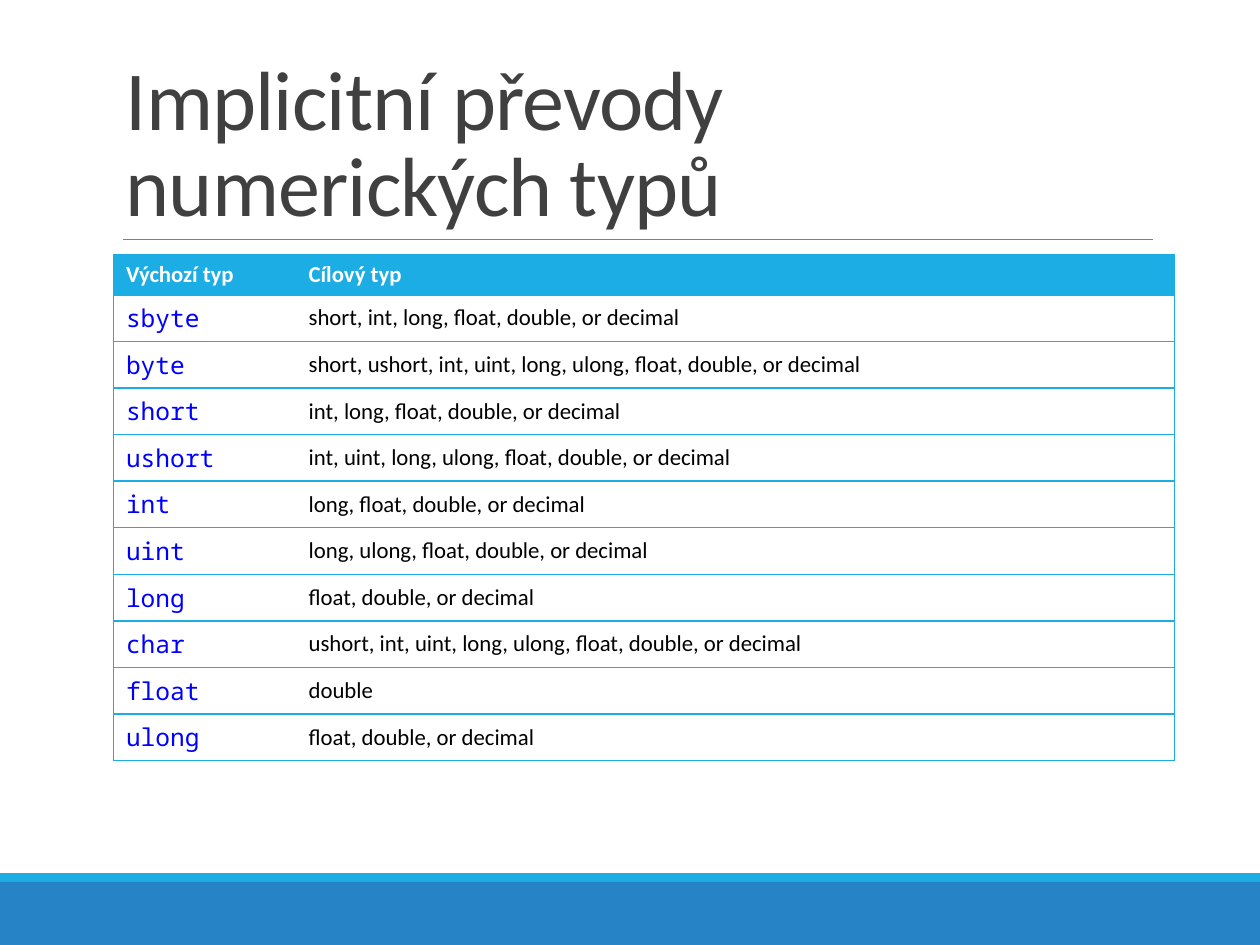
from dataclasses import dataclass

from lxml import etree
from pptx import Presentation
from pptx import util as u
from pptx.dml.color import RGBColor
from pptx.enum import shapes, text
from pptx.oxml import ns

WHITE = RGBColor(0xFF, 0xFF, 0xFF)
BLACK = RGBColor(0x00, 0x00, 0x00)
TITLE_GRAY = RGBColor(0x40, 0x40, 0x40)
RULE_GRAY = RGBColor(0x80, 0x80, 0x80)
CYAN = RGBColor(0x1C, 0xAD, 0xE4)
BLUE = RGBColor(0x26, 0x83, 0xC6)
KEYWORD_BLUE = RGBColor(0x00, 0x00, 0xFF)

HEADER = ("Výchozí typ", "Cílový typ")
CONVERSIONS = [
    ("sbyte", "short, int, long, float, double, or decimal"),
    ("byte", "short, ushort, int, uint, long, ulong, float, double, or decimal"),
    ("short", "int, long, float, double, or decimal"),
    ("ushort", "int, uint, long, ulong, float, double, or decimal"),
    ("int", "long, float, double, or decimal"),
    ("uint", "long, ulong, float, double, or decimal"),
    ("long", "float, double, or decimal"),
    ("char", "ushort, int, uint, long, ulong, float, double, or decimal"),
    ("float", "double"),
    ("ulong", "float, double, or decimal"),
]


def write_text(frame, content, font="Calibri", size=13, color=BLACK, bold=False,
               line_spacing=None, tracking=None):
    paragraph = frame.paragraphs[0]
    if line_spacing:
        paragraph.line_spacing = line_spacing
    run = paragraph.add_run()
    run.text = content
    run.font.name = font
    run.font.size = u.Pt(size)
    run.font.color.rgb = color
    run.font.bold = bold
    if tracking is not None:
        run.font._element.set("spc", str(round(tracking * 100)))


def set_border(cell, side, color):
    properties = cell._tc.get_or_add_tcPr()
    line = etree.SubElement(properties, ns.qn(f"a:ln{side}"), w=str(u.Pt(1)))
    if color is None:
        etree.SubElement(line, ns.qn("a:noFill"))
    else:
        fill = etree.SubElement(line, ns.qn("a:solidFill"))
        etree.SubElement(fill, ns.qn("a:srgbClr"), val=str(color))


@dataclass
class SlideBuilder:
    slide: object
    font: str = "Calibri"
    code_font: str = "Noto Sans Mono"
    accent: RGBColor = CYAN

    def bar(self, left, top, width, height, color):
        shape = self.slide.shapes.add_shape(
            shapes.MSO_SHAPE.RECTANGLE,
            u.Inches(left), u.Inches(top), u.Inches(width), u.Inches(height))
        shape.shadow.inherit = False
        shape.fill.solid()
        shape.fill.fore_color.rgb = color
        shape.line.fill.background()

    def rule(self, left, right, top, color, width):
        connector = self.slide.shapes.add_connector(
            shapes.MSO_CONNECTOR.STRAIGHT,
            u.Inches(left), u.Inches(top), u.Inches(right), u.Inches(top))
        connector.line.color.rgb = color
        connector.line.width = u.Pt(width)
        etree.SubElement(connector._element.spPr, ns.qn("a:effectLst"))

    def title(self, content, left, top, width, height):
        box = self.slide.shapes.add_textbox(
            u.Inches(left), u.Inches(top), u.Inches(width), u.Inches(height))
        frame = box.text_frame
        frame.word_wrap = True
        frame.vertical_anchor = text.MSO_ANCHOR.BOTTOM
        write_text(frame, content, font=self.font, size=48, color=TITLE_GRAY,
                   line_spacing=0.85, tracking=-0.5)

    def table(self, rows, left, top, column_widths, row_heights):
        table = self.slide.shapes.add_table(
            len(rows), len(column_widths), u.Inches(left), u.Inches(top),
            u.Inches(sum(column_widths)), u.Inches(sum(row_heights))).table
        table.horz_banding = False
        for column, width in zip(table.columns, column_widths):
            column.width = u.Inches(width)
        for row, height in zip(table.rows, row_heights):
            row.height = u.Inches(height)
        for row_index, values in enumerate(rows):
            for column_index, value in enumerate(values):
                self.cell(table.cell(row_index, column_index), value,
                          is_header=row_index == 0, is_first=column_index == 0)

    def cell(self, cell, value, is_header, is_first):
        set_border(cell, "L", self.accent if is_first else None)
        set_border(cell, "R", None if is_first else self.accent)
        set_border(cell, "T", self.accent)
        set_border(cell, "B", self.accent)
        cell.fill.solid()
        cell.fill.fore_color.rgb = self.accent if is_header else WHITE
        cell.vertical_anchor = text.MSO_ANCHOR.MIDDLE
        if is_header:
            write_text(cell.text_frame, value, font=self.font, color=WHITE, bold=True)
        elif is_first:
            write_text(cell.text_frame, value, font=self.code_font, size=14,
                       color=KEYWORD_BLUE)
        else:
            write_text(cell.text_frame, value, font=self.font)


def main():
    presentation = Presentation()
    presentation.slide_width = u.Inches(10)
    presentation.slide_height = u.Inches(7.5)
    builder = SlideBuilder(presentation.slides.add_slide(presentation.slide_layouts[6]))

    builder.bar(0, 7, 10, 0.5, BLUE)
    builder.bar(0, 6.93, 10, 0.07, CYAN)
    builder.rule(0.98, 9.15, 1.9, RULE_GRAY, 0.5)
    builder.title("Implicitní převody numerických typů", 0.9, 0.31, 8.25, 1.59)
    builder.table([HEADER, *CONVERSIONS], 0.9, 2.02, [1.45, 6.97],
                  [0.32] + [0.37] * len(CONVERSIONS))

    presentation.save("out.pptx")


if __name__ == "__main__":
    main()
